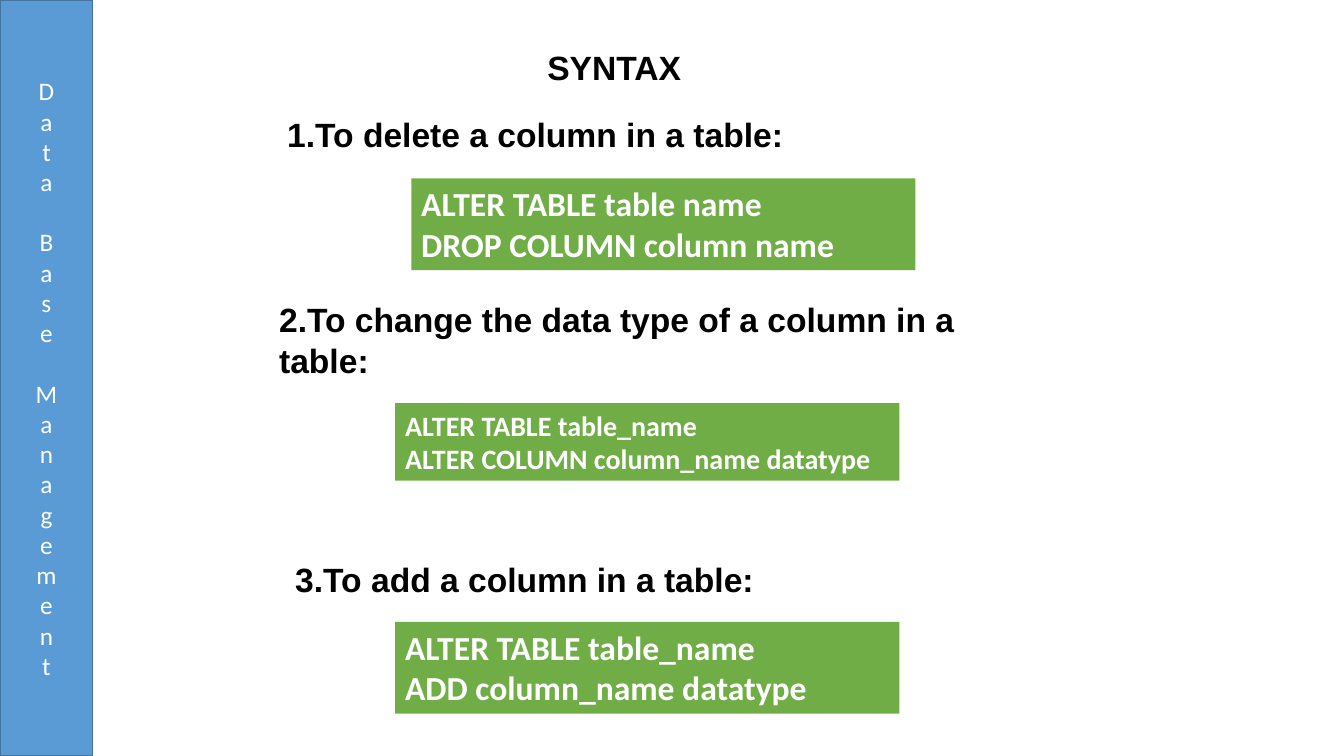
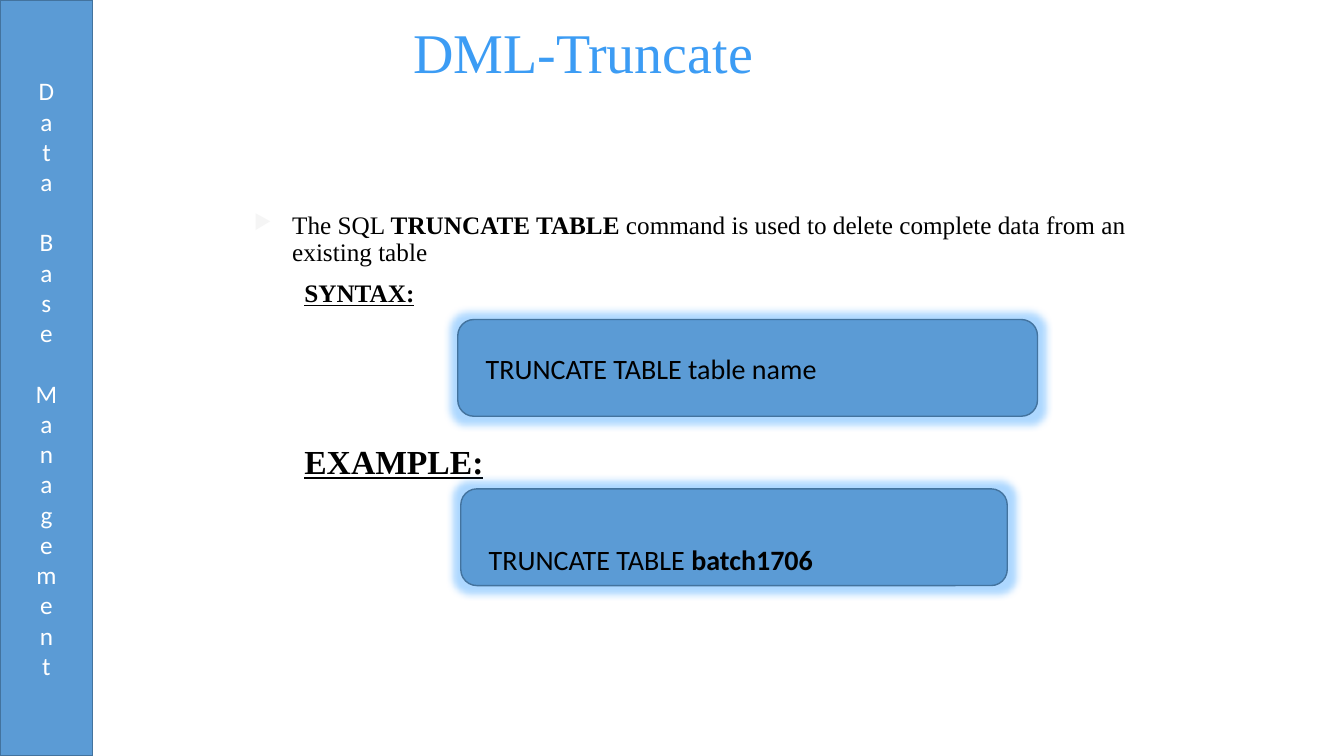
from dataclasses import dataclass

from lxml import etree
from pptx import Presentation
from pptx.dml.color import RGBColor
from pptx.enum.shapes import MSO_SHAPE
from pptx.enum.text import MSO_ANCHOR, PP_ALIGN
from pptx.oxml.ns import qn
from pptx.util import Emu, Pt

RECT, ROUND = MSO_SHAPE.RECTANGLE, MSO_SHAPE.ROUNDED_RECTANGLE
TOP, MIDDLE = MSO_ANCHOR.TOP, MSO_ANCHOR.MIDDLE
LEFT, CENTER = PP_ALIGN.LEFT, PP_ALIGN.CENTER


@dataclass(frozen=True)
class Theme:
    blue: str = "5B9BD5"
    blue_edge: str = "43739E"
    glow: str = "329DFF"
    green: str = "70AD47"
    title: str = "3C9CF4"
    bullet: str = "F5F5F5"
    white: str = "FFFFFF"
    black: str = "000000"
    sans: str = "Arial"
    code: str = "Calibri"
    serif: str = "Times New Roman"
    title_size: int = 40
    large: int = 24
    medium: int = 20
    small: int = 18


T = Theme()
SLIDE_W, SLIDE_H = 1333, 750


def px(n):
    return Emu(n * 9144)


def place(box):
    return [px(n) for n in box]


def rgb(value):
    return RGBColor.from_string(value)


def style_runs(p, font, size, color, bold=None, underline=None):
    for r in p.runs:
        f = r.font
        f.name, f.size, f.color.rgb = font, Pt(size), rgb(color)
        if bold is not None:
            f.bold = bold
        if underline is not None:
            f.underline = underline


def set_runs(p, parts):
    """Add (text, bold) parts to a paragraph."""
    for text, bold in parts:
        r = p.add_run()
        r.text = text
        r.font.bold = bold


def add_text(s, box, anchor=TOP):
    tf = s.shapes.add_textbox(*place(box)).text_frame
    tf.word_wrap = True
    tf.vertical_anchor = anchor
    return tf


def add_panel(s, kind, box, fill, line=None, anchor=MIDDLE, align=LEFT):
    sp = s.shapes.add_shape(kind, *place(box))
    sp.shadow.inherit = False
    sp.fill.solid()
    sp.fill.fore_color.rgb = rgb(fill)
    if line:
        sp.line.color.rgb = rgb(line)
        sp.line.width = Pt(1)
    else:
        sp.line.fill.background()
    tf = sp.text_frame
    tf.word_wrap = True
    tf.vertical_anchor = anchor
    tf.paragraphs[0].alignment = align
    return sp


def add_glow(sp, radius=15, alpha=40):
    effects = sp._element.spPr.find(qn("a:effectLst"))
    glow = etree.SubElement(effects, qn("a:glow"), rad=str(px(radius)))
    color = etree.SubElement(glow, qn("a:srgbClr"), val=T.glow)
    etree.SubElement(color, qn("a:alpha"), val=str(alpha * 1000))


def set_indent(p, left, first=0):
    pPr = p._p.get_or_add_pPr()
    pPr.set("marL", str(px(left)))
    pPr.set("indent", str(px(first)))
    return pPr


def add_bullet(p, indent):
    pPr = set_indent(p, indent, -indent)
    color = etree.SubElement(pPr, qn("a:buClr"))
    etree.SubElement(color, qn("a:srgbClr"), val=T.bullet)
    etree.SubElement(pPr, qn("a:buSzPct"), val="80000")
    etree.SubElement(pPr, qn("a:buChar"), char="▶")


def side_band(s, box):
    sp = add_panel(s, RECT, box, T.blue, T.blue_edge, align=CENTER)
    tf = sp.text_frame
    tf._txBody.bodyPr.set("vert", "wordArtVert")
    p = tf.paragraphs[0]
    p.text = "Data Base Management"
    style_runs(p, T.code, T.small, T.white)


def new_slide(prs):
    s = prs.slides.add_slide(prs.slide_layouts[6])
    side_band(s, (0, 0, 92, SLIDE_H))
    return s


def heading(s, box, text):
    p = add_text(s, box).paragraphs[0]
    p.text = text
    style_runs(p, T.sans, T.large, T.black, bold=True)


def green_code(s, box, text, size):
    p = add_panel(s, RECT, box, T.green, anchor=TOP).text_frame.paragraphs[0]
    p.text = text
    style_runs(p, T.code, size, T.white, bold=True)


def glowing_code(s, box, parts, top_inset=5):
    sp = add_panel(s, ROUND, box, T.blue, T.blue_edge)
    add_glow(sp)
    tf = sp.text_frame
    tf.margin_left, tf.margin_top = px(23), px(top_inset)
    p = tf.paragraphs[0]
    set_runs(p, parts)
    style_runs(p, T.code, T.medium, T.black)


def slide_title(s, box, text):
    p = add_text(s, box, MIDDLE).paragraphs[0]
    p.text = text
    p.line_spacing = 0.9
    style_runs(p, T.serif, T.title_size, T.title)


def truncate_body(s, box):
    tf = add_text(s, box)
    p = tf.paragraphs[0]
    add_bullet(p, 38)
    p.line_spacing = 0.9
    set_runs(p, [("The SQL ", False), ("TRUNCATE TABLE", True),
                 (" command is used to delete complete data from an existing table", False)])
    style_runs(p, T.serif, T.small, T.black)
    for text, size, gap in (("SYNTAX:", T.small, 10), ("EXAMPLE:", T.large, 98)):
        p = tf.add_paragraph()
        p.text = text
        set_indent(p, 50)
        p.line_spacing, p.space_before = 0.9, Pt(gap)
        style_runs(p, T.serif, size, T.black, bold=True, underline=True)


def syntax_slide(prs):
    s = new_slide(prs)
    heading(s, (533, 42, 160, 50), "SYNTAX")
    commands = (
        ((275, 108, 517, 50), "1.To delete a column in a table:",
         (408, 177, 500, 91), "ALTER TABLE table name\nDROP COLUMN column name", T.large),
        ((267, 292, 717, 91), "2.To change the data type of a column in a table:",
         (392, 400, 500, 77), "ALTER TABLE table_name\nALTER COLUMN column_name datatype", T.medium),
        ((283, 550, 490, 50), "3.To add a column in a table:",
         (392, 617, 500, 91), "ALTER TABLE table_name\nADD column_name datatype", T.large),
    )
    for head_box, head, code_box, code, size in commands:
        heading(s, head_box, head)
        green_code(s, code_box, code, size)


def truncate_slide(prs):
    s = new_slide(prs)
    slide_title(s, (400, 17, 683, 76), "DML-Truncate")
    truncate_body(s, (242, 206, 908, 280))
    glowing_code(s, (454, 317, 575, 96), [("TRUNCATE TABLE table name", False)])
    glowing_code(s, (457, 485, 542, 96),
                 [("TRUNCATE TABLE ", False), ("batch1706", True)], top_inset=48)


def main():
    prs = Presentation()
    prs.slide_width, prs.slide_height = px(SLIDE_W), px(SLIDE_H)
    syntax_slide(prs)
    truncate_slide(prs)
    prs.save("out.pptx")


if __name__ == "__main__":
    main()
